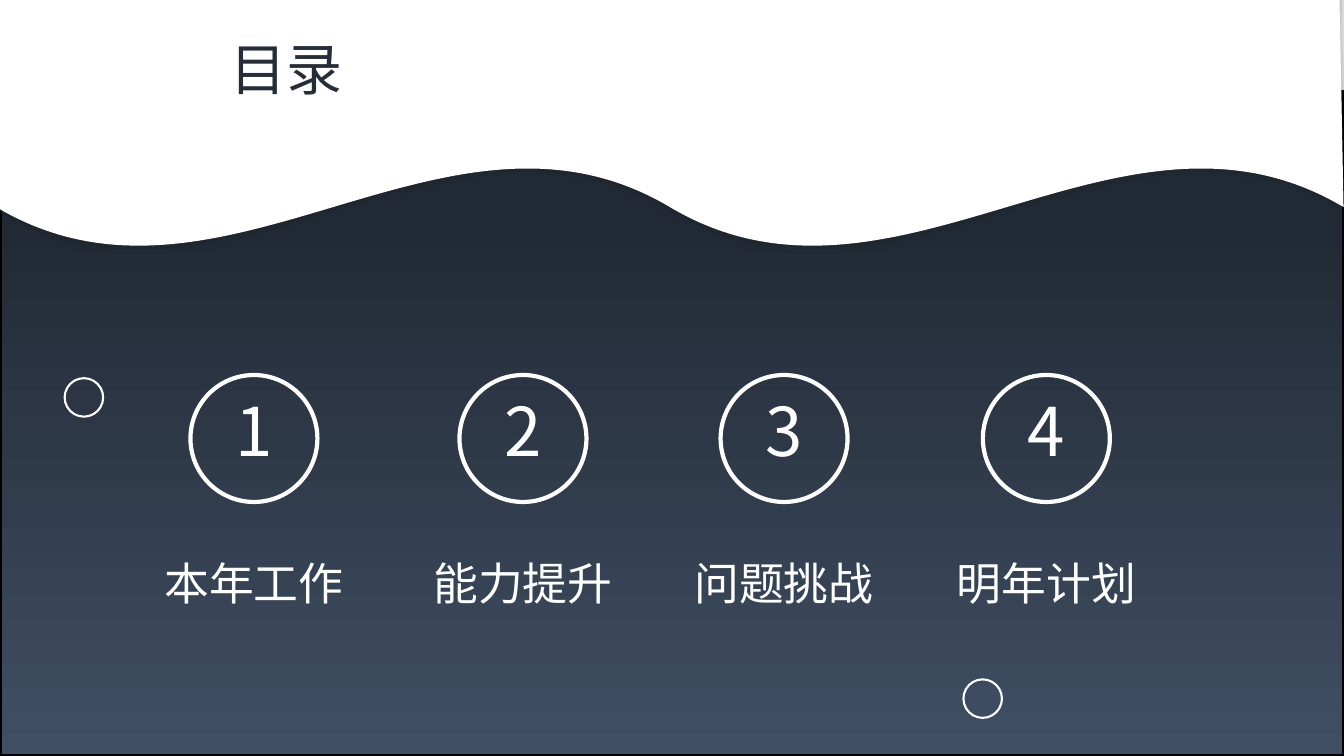
from lxml.etree import SubElement
from pptx import Presentation
from pptx.dml.color import RGBColor
from pptx.enum.shapes import MSO_SHAPE as SHAPE
from pptx.enum.text import MSO_ANCHOR as ANCHOR, MSO_AUTO_SIZE as AUTO, PP_ALIGN as ALIGN
from pptx.oxml.ns import qn
from pptx.util import Cm, Pt

TITLE = "目录"
# chapter name, left edge of its ring in cm
CHAPTERS = [("本年工作", 4.8), ("能力提升", 11.58), ("问题挑战", 18.16), ("明年计划", 24.77)]
BUBBLES = [(1.63, 9.53), (24.28, 17.12)]

FONT = "Noto Sans CJK SC"
WHITE, INK, BLACK = "FFFFFF", "252D39", "000000"
DEEP, SHALLOW = "222A35", "404F64"
WIDTH, HEIGHT = 33.87, 19.05
SEA_TOP = 2.31
RING, RING_TOP = 3.2, 9.45
DIGIT_W, DIGIT_H, DIGIT_TOP = 2.06, 2.31, 9.68
LABEL_W, LABEL_H, LABEL_TOP = 5.13, 1.63, 13.88
BUBBLE = 0.97


def rgb(value):
    return RGBColor.from_string(value)


def add_shape(shapes, kind, box, line=None, weight=0):
    """Add an unfilled shape without shadow; box is left, top, width, height in cm."""
    s = shapes.add_shape(kind, *map(Cm, box))
    s.shadow.inherit = False
    s.fill.background()
    if line:
        s.line.color.rgb = rgb(line)
        s.line.width = Pt(weight)
    else:
        s.line.fill.background()
    return s


def write(s, text, size, color, align=ALIGN.CENTER):
    tf = s.text_frame
    tf.word_wrap = True
    tf.auto_size = AUTO.SHAPE_TO_FIT_TEXT
    tf.vertical_anchor = ANCHOR.TOP
    p = tf.paragraphs[0]
    p.alignment = align
    r = p.add_run()
    r.text = text
    r.font.size = Pt(size)
    r.font.color.rgb = rgb(color)
    r.font.name = FONT
    # Chinese characters take the East Asian font
    SubElement(r.font.fill._xPr, qn("a:ea"), typeface=FONT)


def add_soft_shadow(s):
    effects = s.element.spPr.find(qn("a:effectLst"))
    shadow = SubElement(effects, qn("a:outerShdw"), blurRad=str(Pt(10)), dist=str(Pt(3)),
                        dir="16200000", rotWithShape="0")
    color = SubElement(shadow, qn("a:srgbClr"), val=BLACK)
    SubElement(color, qn("a:alpha"), val="38000")


prs = Presentation()
prs.slide_width, prs.slide_height = Cm(WIDTH), Cm(HEIGHT)
slide = prs.slides.add_slide(prs.slide_layouts[5])
shapes = slide.shapes

sea = add_shape(shapes, SHAPE.RECTANGLE, (0, SEA_TOP, WIDTH, HEIGHT - SEA_TOP), BLACK, 2.25)
sea.fill.gradient()
sea.fill.gradient_angle = 270
for stop, position, color in zip(sea.fill.gradient_stops, (0.21, 1), (DEEP, SHALLOW)):
    stop.position = position
    stop.color.rgb = rgb(color)

wave = add_shape(shapes, SHAPE.DOUBLE_WAVE, (-0.23, -2.79, 34.09, 9.02))
wave.adjustments[0], wave.adjustments[1] = 0.112, -0.002
wave.element.spPr.xfrm.set("flipV", "1")
wave.fill.solid()
wave.fill.fore_color.rgb = rgb(WHITE)
add_soft_shadow(wave)

title = shapes.title
title.left, title.top, title.width, title.height = map(Cm, (5.56, 0.74, 14.07, 1.96))
write(title, TITLE, 40, INK, ALIGN.LEFT)
wave.element.addnext(title.element)

for number, (name, left) in enumerate(CHAPTERS, 1):
    center = left + RING / 2
    badge = shapes.add_group_shape().shapes
    add_shape(badge, SHAPE.OVAL, (left, RING_TOP, RING, RING), WHITE, 3)
    digit = badge.add_textbox(*map(Cm, (center - DIGIT_W / 2, DIGIT_TOP, DIGIT_W, DIGIT_H)))
    write(digit, str(number), 48, WHITE)
    label = shapes.add_textbox(*map(Cm, (center - LABEL_W / 2, LABEL_TOP, LABEL_W, LABEL_H)))
    write(label, name, 32, WHITE)

for left, top in BUBBLES:
    add_shape(shapes, SHAPE.OVAL, (left, top, BUBBLE, BUBBLE), WHITE, 1.5)

prs.save("out.pptx")
